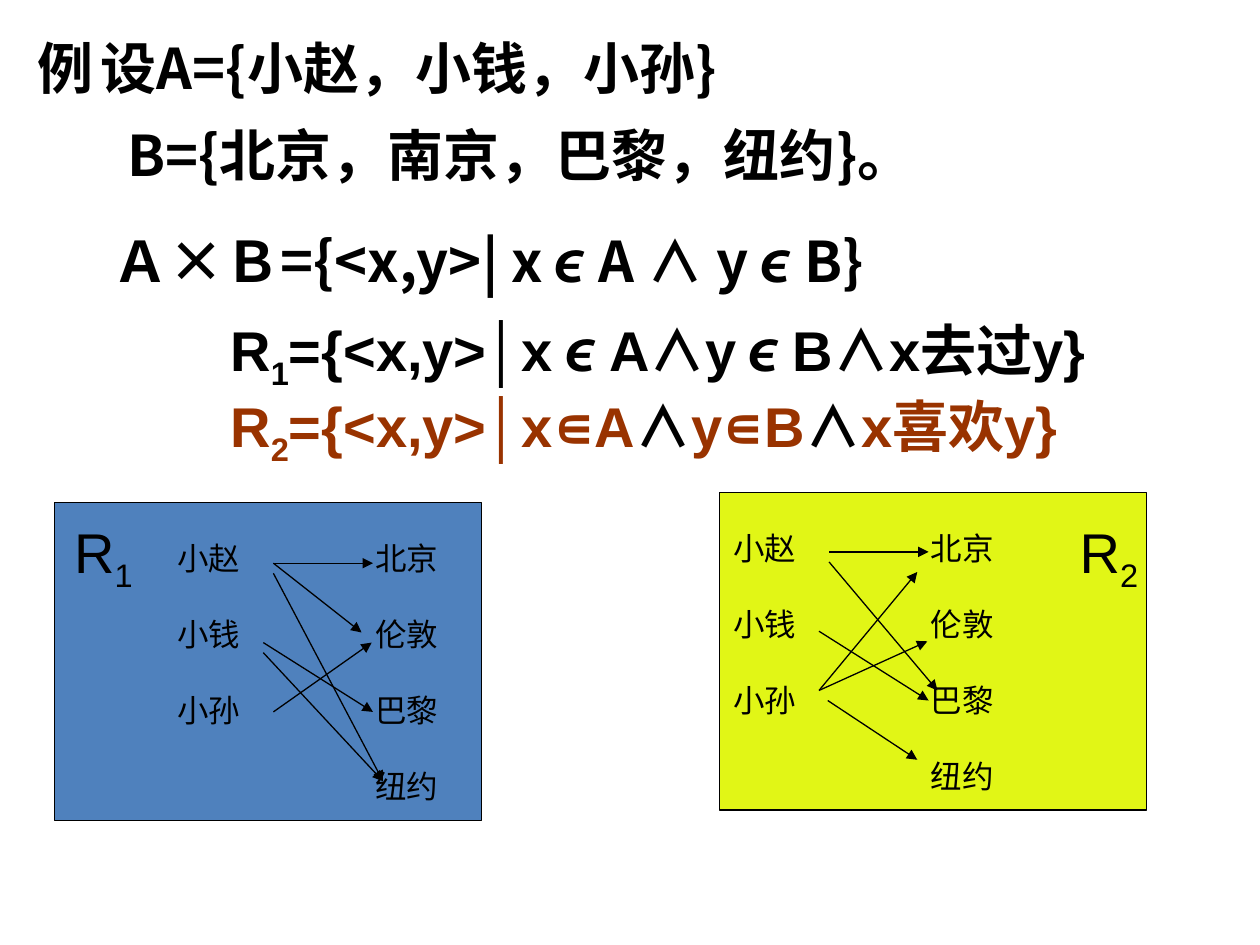
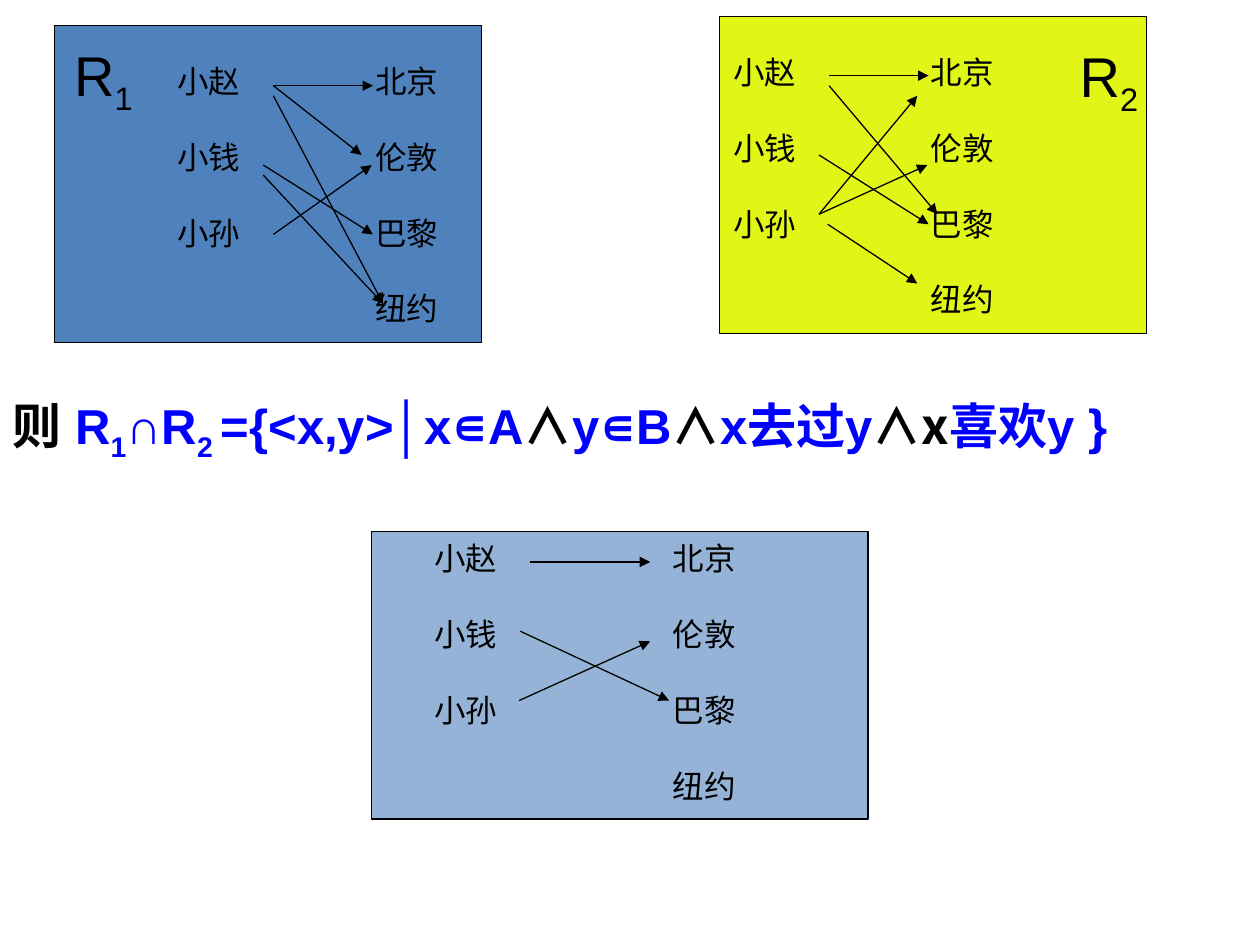
from lxml import etree
from pptx import Presentation
from pptx.dml.color import RGBColor
from pptx.enum.shapes import MSO_CONNECTOR as CONN, MSO_SHAPE as SHAPE
from pptx.enum.text import MSO_ANCHOR as ANCHOR, PP_ALIGN as ALIGN
from pptx.oxml.ns import qn
from pptx.util import Inches, Pt

BLACK = RGBColor(0x00, 0x00, 0x00)
BROWN = RGBColor(0x99, 0x33, 0x00)
BLUE = RGBColor(0x00, 0x00, 0xFF)
STEEL = RGBColor(0x4F, 0x81, 0xBD)
YELLOW = RGBColor(0xE1, 0xF6, 0x16)
PALE_BLUE = RGBColor(0x95, 0xB3, 0xD7)

LATIN, HAN, SYMBOL = "Arial", "Noto Sans CJK SC", "Noto Sans CJK JP"
PEOPLE = ["小赵", "小钱", "小孙"]
CITIES = ["北京", "伦敦", "巴黎", "纽约"]

# Each relation: offsets and arrows (x1, y1, x2, y2) are relative to its panel
R1 = {
    "size": (3.39, 2.52), "fill": STEEL,
    "people": (0.88, 0.23), "cities": (2.45, 0.23),
    "label": ("1", 0.06, 0.07),
    "arrows": [(1.74, 0.48, 2.44, 1.03), (1.74, 0.56, 2.61, 2.21),
               (1.74, 1.66, 2.52, 1.11), (1.74, 0.48, 2.53, 0.48),
               (1.66, 1.19, 2.61, 2.21), (1.66, 1.11, 2.53, 1.66)],
}
R2 = {
    "size": (3.39, 2.52), "fill": YELLOW,
    "people": (0.01, 0.23), "cities": (1.58, 0.23),
    "label": ("2", 2.76, 0.15),
    "arrows": [(0.87, 0.55, 1.73, 1.57), (0.87, 0.47, 1.66, 0.47),
               (0.79, 1.10, 1.66, 1.65), (0.79, 1.57, 1.57, 0.63),
               (0.79, 1.57, 1.65, 1.18), (0.86, 1.65, 1.57, 2.12)],
}
INTERSECTION = {
    "size": (3.94, 2.28), "fill": PALE_BLUE,
    "people": (0.40, 0), "cities": (2.29, 0),
    "label": None,
    "arrows": [(1.26, 0.24, 2.21, 0.24), (1.17, 1.34, 2.21, 0.87),
               (1.18, 0.79, 2.36, 1.34)],
}


def add_runs(p, runs, size, color=BLACK, bold=False):
    """Runs are (text, overrides); overrides may hold sub, face, size, color."""
    for text, over in runs:
        r = p.add_run()
        r.text = text
        face = over.get("face", LATIN)
        values = {"name": face, "size": Pt(over.get("size", size)), "bold": bold}
        for key, value in values.items():
            setattr(r.font, key, value)
        r.font.color.rgb = over.get("color", color)
        rPr = r.font._element
        ea = etree.SubElement(rPr, qn("a:ea"))
        ea.set("typeface", HAN if face == LATIN else face)
        if over.get("sub"):
            rPr.set("baseline", "-25000")


def set_indent(p, left, tab=None):
    pPr = p._p.get_or_add_pPr()
    pPr.set("marL", str(Inches(left)))
    pPr.set("indent", "0")
    if tab:
        tabs = etree.SubElement(pPr, qn("a:tabLst"))
        etree.SubElement(tabs, qn("a:tab"), pos=str(Inches(tab)), algn="l")


def add_text(shapes, x, y, w, h, wrap=True):
    tf = shapes.add_textbox(Inches(x), Inches(y), Inches(w), Inches(h)).text_frame
    tf.word_wrap = wrap
    return tf


def paragraphs(tf, count):
    return [tf.paragraphs[0]] + [tf.add_paragraph() for _ in range(count - 1)]


def add_column(shapes, x, y, names):
    tf = add_text(shapes, x, y, 0.7, 0.6 * len(names) + 0.4, wrap=False)
    for i, (p, name) in enumerate(zip(paragraphs(tf, len(names)), names)):
        add_runs(p, [(name, {})], 18)
        p.line_spacing = Pt(22.5)
        if i:
            p.space_before = Pt(20.8)


def add_arrow(shapes, x1, y1, x2, y2):
    arrow = shapes.add_connector(CONN.STRAIGHT, Inches(x1), Inches(y1),
                                 Inches(x2), Inches(y2))
    arrow.line.color.rgb = BLACK
    arrow.line.width = Pt(0.75)
    etree.SubElement(arrow.line._get_or_add_ln(), qn("a:tailEnd"), type="triangle")
    etree.SubElement(arrow._element.spPr, qn("a:effectLst"))


def add_relation(s, x, y, relation):
    """Panel with people on the left, cities on the right and arrows between."""
    shapes = s.shapes.add_group_shape().shapes
    w, h = relation["size"]
    panel = shapes.add_shape(SHAPE.RECTANGLE, Inches(x), Inches(y),
                             Inches(w), Inches(h))
    panel.shadow.inherit = False
    panel.fill.solid()
    panel.fill.fore_color.rgb = relation["fill"]
    panel.line.color.rgb = BLACK
    panel.line.width = Pt(0.75)

    for key, names in (("people", PEOPLE), ("cities", CITIES)):
        dx, dy = relation[key]
        add_column(shapes, x + dx, y + dy, names)
    for x1, y1, x2, y2 in relation["arrows"]:
        add_arrow(shapes, x + x1, y + y1, x + x2, y + y2)

    if relation["label"]:
        index, dx, dy = relation["label"]
        tf = add_text(shapes, x + dx, y + dy, 0.79, 0.63, wrap=False)
        add_runs(tf.paragraphs[0], [("R", {}), (index, {"sub": True})], 32)


def add_sets_title(s):
    title = s.shapes.title
    title.left, title.top = Inches(0.2), Inches(0.13)
    title.width, title.height = Inches(9.8), Inches(2.2)
    tf = title.text_frame
    tf.word_wrap = True
    tf.vertical_anchor = ANCHOR.MIDDLE
    lines = [("例\t设A={小赵，小钱，小孙}", 0, 0.74),
             ("B={北京，南京，巴黎，纽约}。", 0.71, None),
             ("Ａ×Ｂ={<x,y>| x∊A ∧ y∊B}", 0.59, None)]
    for p, (text, left, tab) in zip(paragraphs(tf, len(lines)), lines):
        set_indent(p, left, tab)
        p.alignment = ALIGN.LEFT
        p.line_spacing = 1.3
        add_runs(p, [(text, {"face": HAN})], 32, bold=True)
    # The taller closing space opens up the last line
    add_runs(p, [(" ", {"face": "Calibri", "size": 40})], 40)


def add_definitions(s):
    and_sign = ("∧", {"face": HAN, "color": BLACK})
    element = ("∊", {"face": SYMBOL})
    rows = [
        (BLACK, [("R", {}), ("1", {"sub": True}), ("={<x,y>│x", {}), element,
                 ("A", {}), and_sign, ("y", {}), element, ("B", {}), and_sign,
                 ("x去过y}", {})]),
        (BROWN, [("R", {}), ("2", {"sub": True}), ("={<x,y>│x∊A", {}), and_sign,
                 ("y∊B", {}), and_sign, ("x喜欢y}", {})]),
    ]
    tf = add_text(s.shapes, 0, 2.46, 9.88, 1.18)
    for i, (p, (color, runs)) in enumerate(zip(paragraphs(tf, len(rows)), rows)):
        set_indent(p, 1.73)
        p.line_spacing = 0.9
        if i:
            p.space_before = Pt(4)
        add_runs(p, runs, 32, color, bold=True)


def add_intersection_formula(s):
    and_sign = ("∧", {"face": HAN, "color": BLACK})
    runs = [("则\t", {"color": BLACK}), ("R", {}), ("1", {"sub": True}),
            ("∩R", {}), ("2 ", {"sub": True}), ("={<x,y>│x∊A", {}), and_sign,
            ("y∊B", {}), and_sign, ("x去过y", {}),
            ("∧x", {"face": HAN, "color": BLACK}), ("喜欢y }", {})]
    p = add_text(s.shapes, 0, 3.1, 9.88, 1.18).paragraphs[0]
    set_indent(p, 0, 0.83)
    p.line_spacing = 0.9
    add_runs(p, runs, 28, BLUE, bold=True)


def build_definition_slide(prs):
    s = prs.slides.add_slide(prs.slide_layouts[5])
    add_sets_title(s)
    add_definitions(s)
    add_relation(s, 0.43, 3.99, R1)
    add_relation(s, 5.71, 3.91, R2)


def build_intersection_slide(prs):
    s = prs.slides.add_slide(prs.slide_layouts[6])
    add_intersection_formula(s)
    add_relation(s, 0.43, 0.2, R1)
    add_relation(s, 5.71, 0.13, R2)
    add_relation(s, 2.95, 4.22, INTERSECTION)


def main():
    prs = Presentation()
    prs.slide_width, prs.slide_height = Inches(10), Inches(7.5)
    build_definition_slide(prs)
    build_intersection_slide(prs)
    prs.save("out.pptx")


if __name__ == "__main__":
    main()
